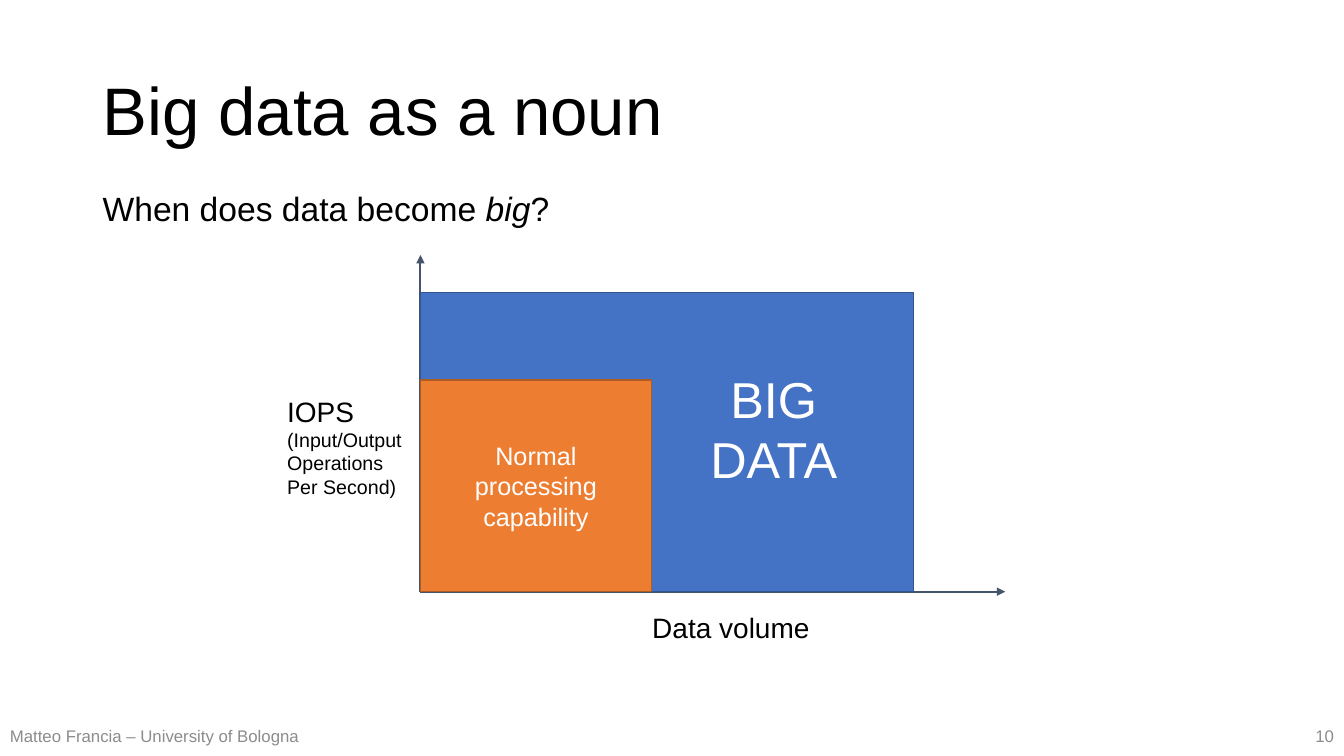
from pptx import Presentation
from pptx.dml.color import RGBColor
from pptx.enum.shapes import MSO_CONNECTOR, MSO_SHAPE
from pptx.enum.text import MSO_ANCHOR, PP_ALIGN
from pptx.oxml.ns import qn
from pptx.util import Inches, Pt
from lxml.etree import SubElement


def rgb(value):
    return RGBColor.from_string(value)


def add_run(p, text, size, color, italic=False):
    r = p.add_run()
    r.text = text
    r.font.name = "Arial"
    r.font.size = Pt(size)
    r.font.italic = italic
    r.font.color.rgb = rgb(color)


def write(tf, paragraphs, size=20, color="000000", align=PP_ALIGN.LEFT,
          anchor=MSO_ANCHOR.TOP, wrap=True, spacing=1.0):
    tf.word_wrap = wrap
    tf.vertical_anchor = anchor
    for i, text in enumerate(paragraphs):
        p = tf.paragraphs[0] if i == 0 else tf.add_paragraph()
        p.alignment = align
        p.line_spacing = spacing
        for j, line in enumerate(text.split("\n")):
            if j:
                p.add_line_break()
            add_run(p, line, size, color)
    return p


def add_text(s, x, y, w, h, paragraphs, **fmt):
    sp = s.shapes.add_textbox(Inches(x), Inches(y), Inches(w), Inches(h))
    return write(sp.text_frame, paragraphs, **fmt)


def add_block(s, x, y, w, h, fill, line):
    sp = s.shapes.add_shape(MSO_SHAPE.RECTANGLE, Inches(x), Inches(y), Inches(w), Inches(h))
    sp.shadow.inherit = False
    sp.fill.solid()
    sp.fill.fore_color.rgb = rgb(fill)
    sp.line.color.rgb = rgb(line)
    sp.line.width = Pt(1)
    return sp


def add_axis(s, x1, y1, x2, y2):
    axis = s.shapes.add_connector(MSO_CONNECTOR.STRAIGHT, Inches(x1), Inches(y1),
                                  Inches(x2), Inches(y2))
    axis.line.color.rgb = rgb("44546A")
    axis.line.width = Pt(1.5)
    SubElement(axis.line._get_or_add_ln(), qn("a:tailEnd"), type="triangle")
    SubElement(axis._element.spPr, qn("a:effectLst"))


def add_heading(s, x, y, w):
    add_text(s, x, y, w, 1.45, ["Big data as a noun"], size=48,
             anchor=MSO_ANCHOR.MIDDLE, spacing=0.9)
    p = add_text(s, x, y + 1.46, w, 0.6, ["When does data become "], size=24, spacing=0.9)
    add_run(p, "big", 24, "000000", italic=True)
    add_run(p, "?", 24, "000000")


def add_diagram(s, x, y, w, h):
    base = y + h
    add_axis(s, x, base, x + w, base)
    add_axis(s, x, base, x, y)
    add_block(s, x, base - 2.97, 4.89, 2.97, "4472C4", "325491")
    normal = add_block(s, x, base - 2.1, 2.29, 2.1, "ED7D31", "AF5C24")
    write(normal.text_frame, ["Normal", "processing", "capability"], size=18,
          color="FFFFFF", align=PP_ALIGN.CENTER, anchor=MSO_ANCHOR.MIDDLE)
    p = add_text(s, x - 1.42, y + 1.33, 1.4, 1.14, ["IOPS", ""], wrap=False)
    for i, line in enumerate(["(Input/Output", "Operations", "Per Second)"]):
        if i:
            p.add_line_break()
        add_run(p, line, 14, "000000")
    add_text(s, x + 2.77, y + 1.07, 1.47, 1.31, ["BIG", "DATA"], size=36,
             color="FFFFFF", align=PP_ALIGN.CENTER, wrap=False)
    add_text(s, x + 2.2, base + 0.14, 1.78, 0.44, ["Data volume"], wrap=False)


def add_footer(s, x, y, w, h):
    fmt = dict(size=12, color="8C8C8C", anchor=MSO_ANCHOR.MIDDLE)
    add_text(s, x, y, 3.1, h, ["Matteo Francia – University of Bologna"], **fmt)
    add_text(s, x + w - 3, y, 3, h, ["10"], align=PP_ALIGN.RIGHT, **fmt)


def main():
    prs = Presentation()
    prs.slide_width = Inches(13.33)
    prs.slide_height = Inches(7.5)
    s = prs.slides.add_slide(prs.slide_layouts[6])
    add_heading(s, 0.92, 0.4, 11.5)
    add_diagram(s, 4.17, 2.53, 5.8, 3.34)
    add_footer(s, 0, 7.1, 13.33, 0.4)
    prs.save("out.pptx")


if __name__ == "__main__":
    main()
